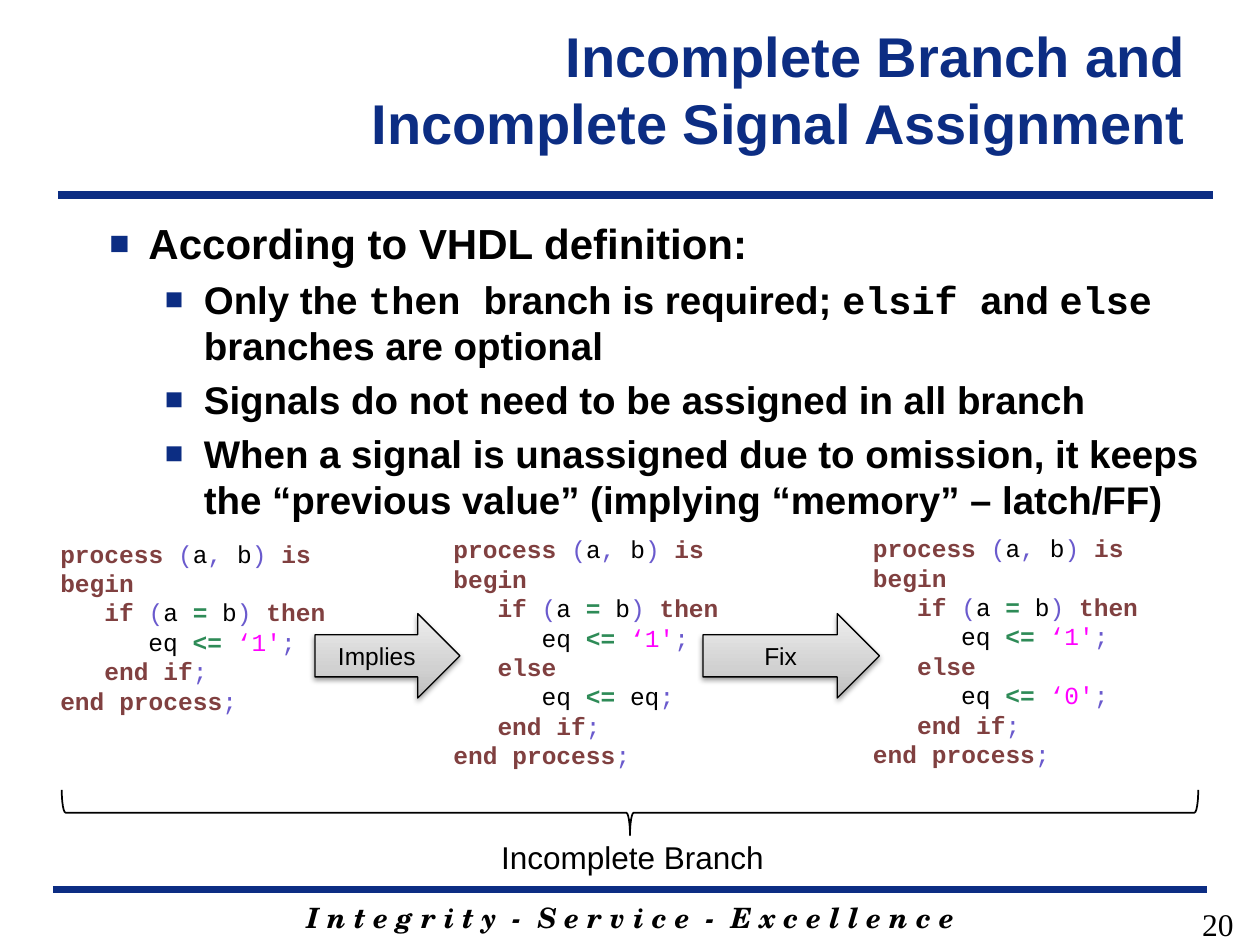
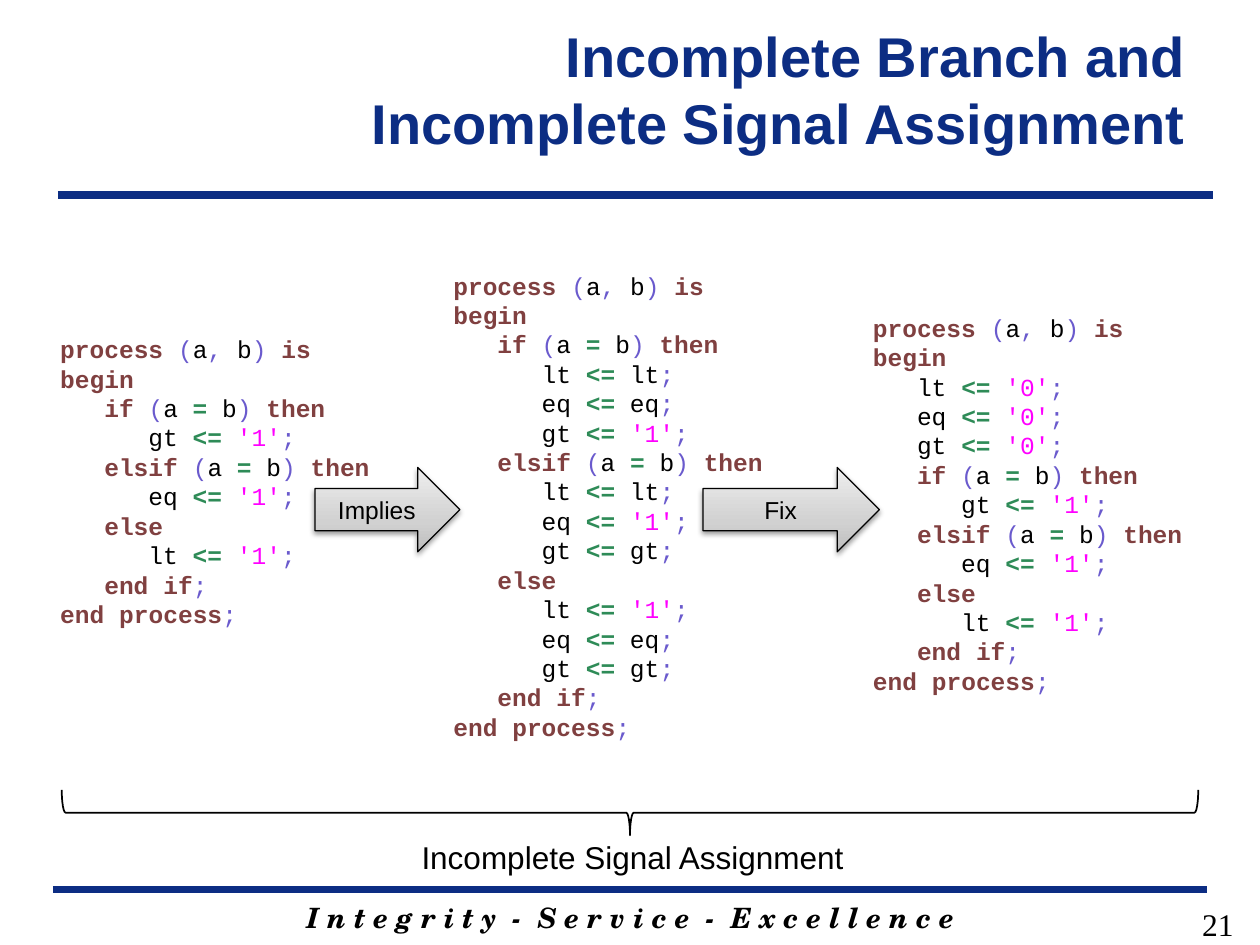
from dataclasses import dataclass
from itertools import groupby
from typing import NamedTuple

from lxml import etree
from pptx import Presentation
from pptx import util as u
from pptx.dml.color import RGBColor
from pptx.enum import shapes, text
from pptx.oxml.ns import qn


@dataclass(frozen=True)
class Theme:
    """Colours, fonts and type sizes of the deck."""
    navy: str = "0C2D83"
    ink: str = "000000"
    keyword: str = "804040"
    punctuation: str = "6A5ACD"
    operator: str = "2E8B57"
    literal: str = "FF00FF"
    arrow_stops: tuple = ((0, "BDBDBD"), (35, "D1D1D1"), (100, "EEEEEE"))
    sans: str = "Arial"
    mono: str = "Courier New"
    motto: str = "TeX Gyre Schola"
    serif: str = "Times New Roman"
    title_size: int = 32
    lead_size: int = 24
    point_size: int = 22
    caption_size: int = 18
    motto_size: int = 16
    code_size: int = 14


class Area(NamedTuple):
    """A place on the grid of 100 columns and 75 rows."""
    left: float
    top: float
    width: float
    height: float


class Style(NamedTuple):
    """The look of a run of text."""
    size: int
    color: str
    font: str
    bold: bool = False
    italic: bool = False


class Listing(NamedTuple):
    """A process written in VHDL and its place."""
    area: Area
    body: str


class Step(NamedTuple):
    """An arrow that leads from one listing to the next."""
    label: str
    left: float
    width: float


class Example(NamedTuple):
    """The content of one slide."""
    number: int
    points: tuple
    listings: tuple
    arrow_top: float
    caption: str


THEME = Theme()
SLIDE_WIDTH, SLIDE_HEIGHT = u.Inches(10), u.Inches(7.5)
COLUMNS, ROWS = 100, 75
KEYWORDS = {"process", "is", "begin", "if", "then", "elsif", "else", "end"}
TITLE = "Incomplete Branch and Incomplete Signal Assignment"
MOTTO = "I n t e g r i t y  -  S e r v i c e  -  E x c e l l e n c e"
STEPS = (Step("Implies", 25, 11.5), Step("Fix", 55.8, 14))
RULES = ((4.2, 95.8, 70.6), (4.6, 96.3, 15.5))

TITLE_STYLE = Style(THEME.title_size, THEME.navy, THEME.sans, True)
MOTTO_STYLE = Style(THEME.motto_size, THEME.ink, THEME.motto, True, True)
NUMBER_STYLE = Style(THEME.caption_size, THEME.ink, THEME.serif)
CAPTION_STYLE = Style(THEME.caption_size, THEME.ink, THEME.sans)
ARROW_STYLE = Style(THEME.code_size, THEME.ink, THEME.sans)

EXAMPLES = (
    Example(20, (
        (0, "According to VHDL definition:"),
        (1, "Only the `then `branch is required; `elsif `and `else `branches are optional"),
        (1, "Signals do not need to be assigned in all branch"),
        (1, "When a signal is unassigned due to omission, it keeps the "
            "“previous value” (implying “memory” – latch/FF)"),
    ), (
        Listing(Area(3.8, 42.2, 23.2, 15.1), """\
   if (a = b) then
      eq <= ‘1';
   end if;"""),
        Listing(Area(35, 41.8, 23.2, 19.9), """\
   if (a = b) then
      eq <= ‘1';
   else
      eq <= eq;
   end if;"""),
        Listing(Area(68.3, 41.7, 23.2, 19.9), """\
   if (a = b) then
      eq <= ‘1';
   else
      eq <= ‘0';
   end if;"""),
    ), 48.7, "Incomplete Branch"),
    Example(21, (), (
        Listing(Area(3.8, 25.9, 26.7, 24.6), """\
   if (a = b) then
      gt <= '1';
   elsif (a = b) then
      eq <= '1';
   else
      lt <= '1';
   end if;"""),
        Listing(Area(35, 20.8, 26.7, 38.7), """\
   if (a = b) then
      lt <= lt;
      eq <= eq;
      gt <= '1';
   elsif (a = b) then
      lt <= lt;
      eq <= '1';
      gt <= gt;
   else
      lt <= '1';
      eq <= eq;
      gt <= gt;
   end if;"""),
        Listing(Area(68.3, 24.2, 26.7, 31.6), """\
   lt <= '0';
   eq <= '0';
   gt <= '0';
   if (a = b) then
      gt <= '1';
   elsif (a = b) then
      eq <= '1';
   else
      lt <= '1';
   end if;"""),
    ), 37.1, "Incomplete Signal Assignment"),
)


def col(count: float) -> int:
    """Return the width of some grid columns."""
    return round(SLIDE_WIDTH * count / COLUMNS)


def row(count: float) -> int:
    """Return the height of some grid rows."""
    return round(SLIDE_HEIGHT * count / ROWS)


def place(area: Area) -> tuple:
    """Return an area as slide lengths."""
    return col(area.left), row(area.top), col(area.width), row(area.height)


def style_run(run, style: Style) -> None:
    """Give a run its look."""
    run.font.size = u.Pt(style.size)
    run.font.name = style.font
    run.font.bold = style.bold
    run.font.italic = style.italic
    run.font.color.rgb = RGBColor.from_string(style.color)


def add_words(paragraph, words: str, style: Style) -> None:
    """Append styled words to a paragraph."""
    run = paragraph.add_run()
    run.text = words
    style_run(run, style)


def add_frame(slide, area: Area, wrap: bool = True, anchor=text.MSO_ANCHOR.TOP):
    """Add an empty text frame."""
    frame = slide.shapes.add_textbox(*place(area)).text_frame
    frame.word_wrap = wrap
    frame.vertical_anchor = anchor
    return frame


def add_line_of_text(slide, area: Area, words: str, style: Style, align,
                     anchor=text.MSO_ANCHOR.TOP) -> None:
    """Add one styled paragraph in its own frame."""
    frame = add_frame(slide, area, anchor=anchor)
    frame.text = words
    frame.paragraphs[0].alignment = align
    style_run(frame.paragraphs[0].runs[0], style)


def next_paragraph(frame, index: int):
    """Return the first paragraph or a new one."""
    return frame.add_paragraph() if index else frame.paragraphs[0]


def add_rule(slide, left: float, right: float, top: float) -> None:
    """Draw a thick horizontal rule."""
    rule = slide.shapes.add_connector(
        shapes.MSO_CONNECTOR.STRAIGHT, col(left), row(top), col(right), row(top))
    rule.line.color.rgb = RGBColor.from_string(THEME.navy)
    rule.line.width = u.Pt(4.5)
    etree.SubElement(rule._element.spPr, qn("a:effectLst"))


def add_points(slide, points: tuple) -> None:
    """Write the bulleted points, with code words between backquotes."""
    frame = add_frame(slide, Area(7.7, 16.8, 88.9, 33.2))
    for index, (level, words) in enumerate(points):
        paragraph = next_paragraph(frame, index)
        size = THEME.point_size if level else THEME.lead_size
        paragraph.level = level
        paragraph.space_before = u.Pt(size * 0.2)
        for part, piece in enumerate(words.split("`")):
            font = THEME.mono if part % 2 else THEME.sans
            add_words(paragraph, piece, Style(size, THEME.ink, font, True))
        props = paragraph._p.get_or_add_pPr()
        props.set("marL", str(u.Inches(0.75 if level else 0.31)))
        props.set("indent", str(u.Inches(-0.31)))
        tint = etree.SubElement(props, qn("a:buClr"))
        etree.SubElement(tint, qn("a:srgbClr"), val=THEME.navy)
        etree.SubElement(props, qn("a:buSzPct"), val="80000")
        etree.SubElement(props, qn("a:buFont"), typeface=THEME.sans)
        etree.SubElement(props, qn("a:buChar"), char="■")


def token_kind(char: str) -> str:
    """Tell which kind of token a character belongs to."""
    if char in "(),;":
        return "punctuation"
    if char in "<=":
        return "operator"
    if char in "‘'" or char.isdigit():
        return "literal"
    return "space" if char == " " else "word"


def token_style(kind: str, token: str) -> Style:
    """Return the highlighting of a token."""
    if token in KEYWORDS:
        kind = "keyword"
    color = getattr(THEME, kind, THEME.ink)
    return Style(THEME.code_size, color, THEME.mono, kind in ("keyword", "operator"))


def add_listing(slide, listing: Listing) -> None:
    """Write a highlighted process, indented by paragraph margins."""
    frame = add_frame(slide, listing.area, False, text.MSO_ANCHOR.MIDDLE)
    lines = ["process (a, b) is", "begin", *listing.body.split("\n"), "end process;"]
    for index, line in enumerate(lines):
        paragraph = next_paragraph(frame, index)
        code = line.lstrip()
        margin = u.Pt((len(line) - len(code)) * THEME.code_size * 0.6)
        paragraph._p.get_or_add_pPr().set("marL", str(margin))
        for kind, chars in groupby(code, token_kind):
            token = "".join(chars)
            add_words(paragraph, token, token_style(kind, token))


def add_step(slide, step: Step, top: float) -> None:
    """Draw a shaded arrow with its label."""
    arrow = slide.shapes.add_shape(
        shapes.MSO_SHAPE.RIGHT_ARROW, *place(Area(step.left, top, step.width, 6.7)))
    arrow.line.color.rgb = RGBColor.from_string(THEME.ink)
    arrow.line.width = u.Pt(0.75)
    arrow.fill.gradient()
    arrow.fill.gradient_angle = 90
    props = arrow._element.spPr
    stops = props.find(".//" + qn("a:gsLst"))
    stops.clear()
    for share, color in THEME.arrow_stops:
        stop = etree.SubElement(stops, qn("a:gs"), pos=str(share * 1000))
        etree.SubElement(stop, qn("a:srgbClr"), val=color)
    arrow.shadow.inherit = False
    shade = etree.SubElement(
        props.find(qn("a:effectLst")), qn("a:outerShdw"), blurRad=str(u.Pt(3.1)),
        dist=str(u.Pt(1.6)), dir="5400000", rotWithShape="0")
    tone = etree.SubElement(shade, qn("a:srgbClr"), val=THEME.ink)
    etree.SubElement(tone, qn("a:alpha"), val="38000")
    arrow.text_frame.text = step.label
    label = arrow.text_frame.paragraphs[0]
    label.alignment = text.PP_ALIGN.CENTER
    style_run(label.runs[0], ARROW_STYLE)


def add_brace(slide) -> None:
    """Draw the brace that spans all the listings."""
    brace = slide.shapes.add_shape(
        shapes.MSO_SHAPE.RIGHT_BRACE, *place(Area(48.2, 19.4, 3.6, 90.2)))
    brace.rotation = 90
    brace.fill.background()
    brace.line.color.rgb = RGBColor.from_string(THEME.ink)
    brace.line.width = u.Pt(1)
    brace.shadow.inherit = False


def add_example(deck, example: Example) -> None:
    """Build one slide."""
    slide = deck.slides.add_slide(deck.slide_layouts[6])
    align = text.PP_ALIGN
    for rule in RULES:
        add_rule(slide, *rule)
    add_line_of_text(slide, Area(14.2, 71, 71.7, 3.7), MOTTO, MOTTO_STYLE, align.CENTER)
    add_line_of_text(slide, Area(20.9, 0.8, 74.2, 12.5), TITLE, TITLE_STYLE,
                     align.RIGHT, text.MSO_ANCHOR.MIDDLE)
    add_line_of_text(slide, Area(75.6, 71.3, 23.3, 3.7), str(example.number),
                     NUMBER_STYLE, align.RIGHT)
    if example.points:
        add_points(slide, example.points)
    for listing in example.listings:
        add_listing(slide, listing)
    for step in STEPS:
        add_step(slide, step, example.arrow_top)
    add_brace(slide)
    add_line_of_text(slide, Area(30.2, 66, 40, 4), example.caption, CAPTION_STYLE, align.CENTER)


def main() -> None:
    """Build and save the deck."""
    deck = Presentation()
    deck.slide_width, deck.slide_height = SLIDE_WIDTH, SLIDE_HEIGHT
    for example in EXAMPLES:
        add_example(deck, example)
    deck.save("out.pptx")


if __name__ == "__main__":
    main()
